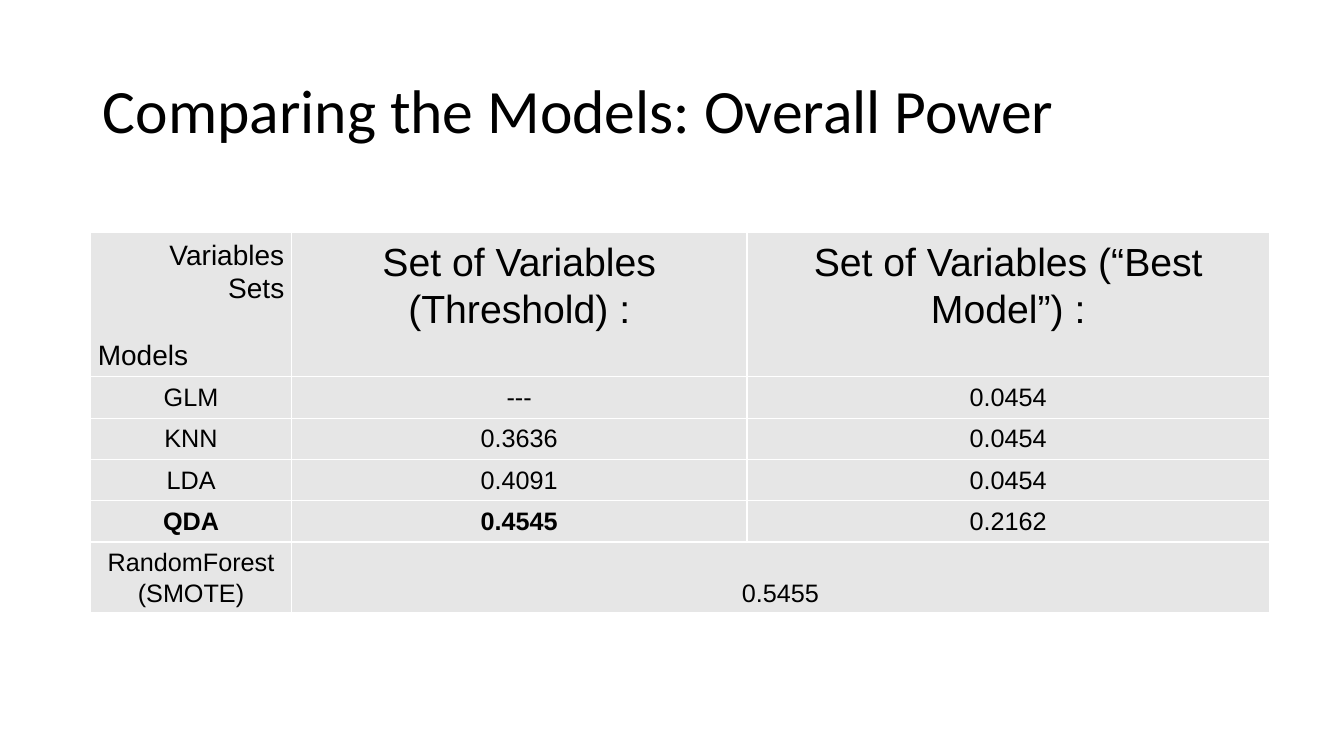
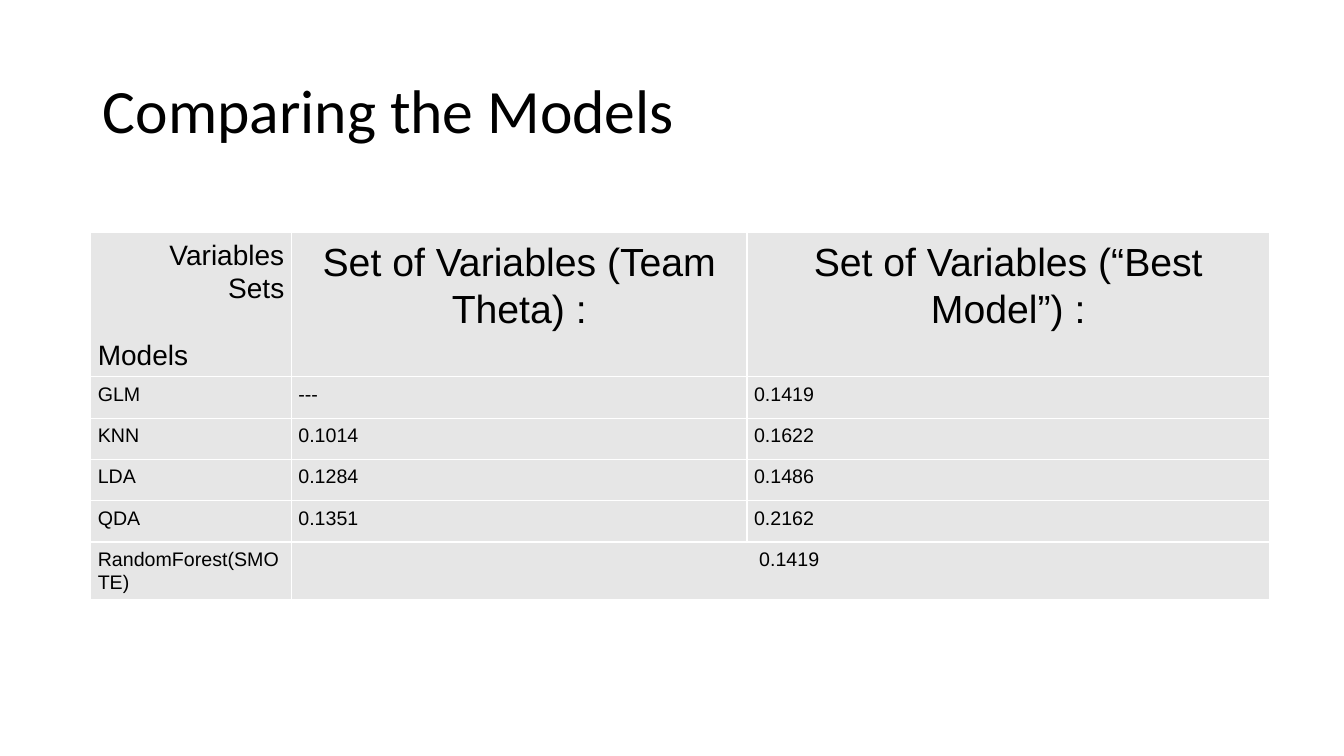
from dataclasses import dataclass

from lxml.etree import SubElement
from pptx import Presentation
from pptx.dml.color import RGBColor
from pptx.enum.text import MSO_ANCHOR as Anchor, PP_ALIGN as Align
from pptx.oxml.ns import qn
from pptx.util import Inches, Pt

BLACK = RGBColor(0x00, 0x00, 0x00)
WHITE = RGBColor(0xFF, 0xFF, 0xFF)
GREY = RGBColor(0xE6, 0xE6, 0xE6)

TITLE_FONT, TABLE_FONT = "Calibri", "Arial"
COLUMN_WIDTHS = (1.99, 4.52, 5.18)
HEADER_HEIGHT, MODEL_HEIGHT = 1.42, 0.41
BEST_MODEL = "Set of Variables (“Best Model”) :"


@dataclass(frozen=True)
class Comparison:
    title: str
    first_set: str
    scores: tuple[tuple[str, str, str], ...]
    forest: str
    forest_score: str
    forest_height: float
    forest_anchor: Anchor
    forest_inset: float
    size: int
    align: Align
    bold: frozenset[str] = frozenset()


COMPARISONS = (
    Comparison(
        title="Comparing the Models: Overall Power",
        first_set="Set of Variables (Threshold) :",
        scores=(
            ("GLM", "---", "0.0454"),
            ("KNN", "0.3636", "0.0454"),
            ("LDA", "0.4091", "0.0454"),
            ("QDA", "0.4545", "0.2162"),
        ),
        forest="RandomForest\n(SMOTE)",
        forest_score="0.5455",
        forest_height=0.69,
        forest_anchor=Anchor.BOTTOM,
        forest_inset=0.07,
        size=18,
        align=Align.CENTER,
        bold=frozenset({"QDA", "0.4545"}),
    ),
    Comparison(
        title="Comparing the Models",
        first_set="Set of Variables (Team Theta) :",
        scores=(
            ("GLM", "---", "0.1419"),
            ("KNN", "0.1014", "0.1622"),
            ("LDA", "0.1284", "0.1486"),
            ("QDA", "0.1351", "0.2162"),
        ),
        forest="RandomForest(SMOTE)",
        forest_score="0.1419",
        forest_height=0.56,
        forest_anchor=Anchor.TOP,
        forest_inset=4.64,
        size=14,
        align=Align.JUSTIFY,
    ),
)


def style_text(frame, font: str, size: int, align: Align, spacing: float, bold: bool = False) -> None:
    for paragraph in frame.paragraphs:
        paragraph.alignment = align
        paragraph.line_spacing = spacing
        for run in paragraph.runs:
            run.font.name = font
            run.font.size = Pt(size)
            run.font.bold = bold
            run.font.color.rgb = BLACK


def style_cell(cell) -> None:
    """Grey fill, thin white borders and the shared insets."""
    properties = cell._tc.get_or_add_tcPr()
    for side in ("lnL", "lnR", "lnT", "lnB"):
        line = SubElement(properties, qn(f"a:{side}"), w=str(Pt(1)))
        SubElement(SubElement(line, qn("a:solidFill")), qn("a:srgbClr"), val=str(WHITE))
    cell.fill.solid()
    cell.fill.fore_color.rgb = GREY
    cell.margin_left = cell.margin_right = Inches(0.07)
    cell.margin_top = cell.margin_bottom = Inches(0.05)


def write_cell(cell, text: str, size: int, align: Align, bold: bool = False) -> None:
    cell.text_frame.text = text
    style_text(cell.text_frame, TABLE_FONT, size, align, 1.07, bold)


def add_title(slide, text: str) -> None:
    title = slide.shapes.title
    title.left, title.top = Inches(0.92), Inches(0.4)
    title.width, title.height = Inches(11.5), Inches(1.45)
    title.text_frame.text = text
    title.text_frame.vertical_anchor = Anchor.MIDDLE
    style_text(title.text_frame, TITLE_FONT, 44, Align.LEFT, 0.9)


def add_comparison_table(slide, comparison: Comparison) -> None:
    heights = (HEADER_HEIGHT, *[MODEL_HEIGHT] * len(comparison.scores), comparison.forest_height)
    table = slide.shapes.add_table(
        len(heights), len(COLUMN_WIDTHS), Inches(0.9), Inches(2.31),
        Inches(sum(COLUMN_WIDTHS)), Inches(sum(heights)),
    ).table
    table.first_row = table.horz_banding = False
    for column, width in zip(table.columns, COLUMN_WIDTHS):
        column.width = Inches(width)
    for row, height in zip(table.rows, heights):
        row.height = Inches(height)
    for cell in table.iter_cells():
        style_cell(cell)

    # Header row, with both axis names in the corner
    corner = table.cell(0, 0)
    write_cell(corner, "Variables\nSets\nModels", 20, Align.RIGHT)
    models = corner.text_frame.paragraphs[-1]
    models.alignment = Align.LEFT
    models.space_before = Pt(24)
    for column, heading in enumerate((comparison.first_set, BEST_MODEL), start=1):
        write_cell(table.cell(0, column), heading, 28, Align.CENTER)

    # One row per model
    for row, scores in enumerate(comparison.scores, start=1):
        for column, text in enumerate(scores):
            write_cell(table.cell(row, column), text, comparison.size,
                       comparison.align, text in comparison.bold)

    # Random forest has one score for both sets
    last = len(heights) - 1
    write_cell(table.cell(last, 0), comparison.forest, comparison.size, comparison.align)
    shared = table.cell(last, 1)
    shared.merge(table.cell(last, 2))
    write_cell(shared, comparison.forest_score, comparison.size, comparison.align)
    shared.vertical_anchor = comparison.forest_anchor
    shared.margin_left = Inches(comparison.forest_inset)


def main() -> None:
    deck = Presentation()
    deck.slide_width, deck.slide_height = Inches(13.33), Inches(7.5)
    title_only = deck.slide_layouts[5]
    for comparison in COMPARISONS:
        slide = deck.slides.add_slide(title_only)
        add_title(slide, comparison.title)
        add_comparison_table(slide, comparison)
    deck.save("out.pptx")


if __name__ == "__main__":
    main()
